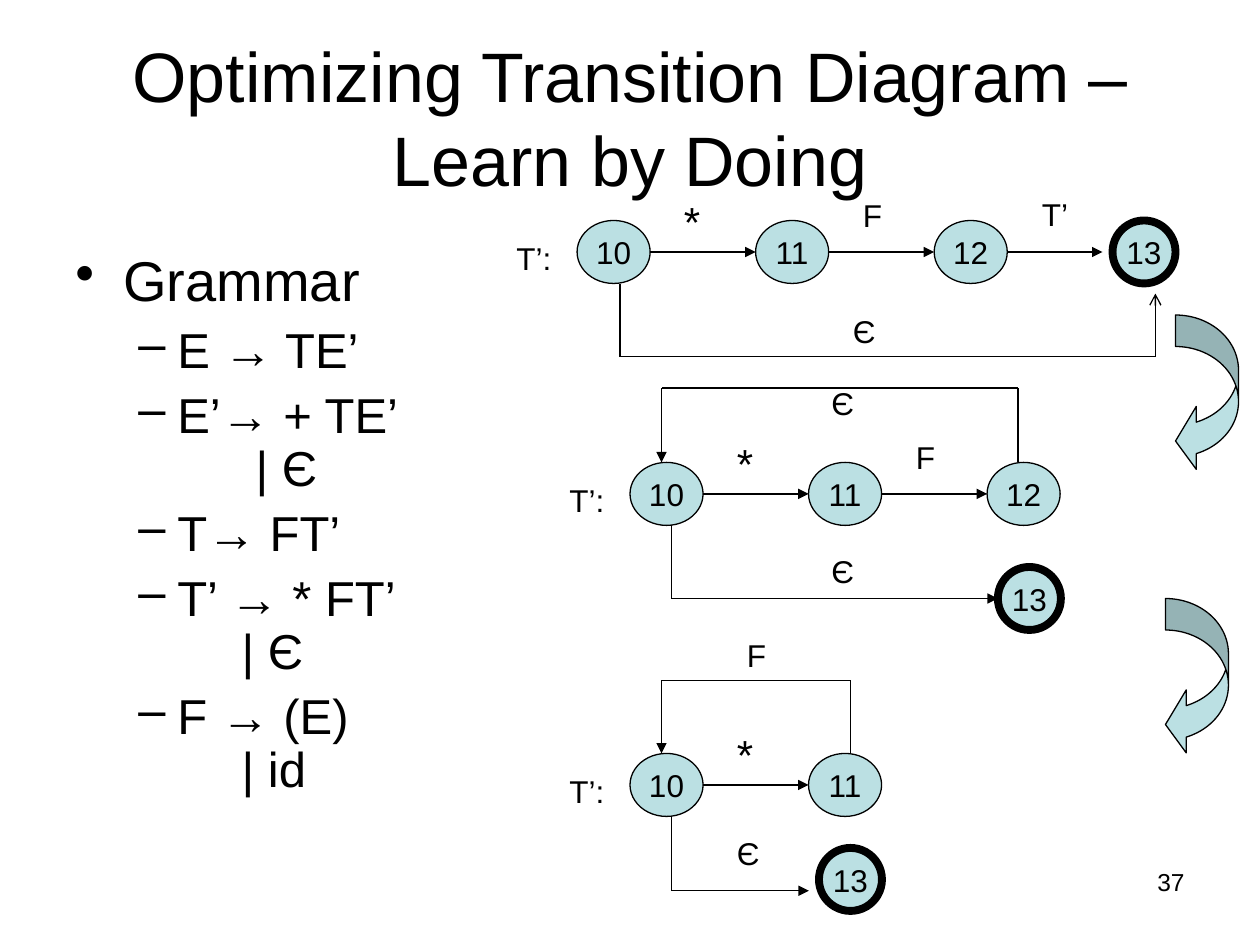
from lxml import etree
from pptx import Presentation
from pptx import util as u
from pptx.dml.color import RGBColor
from pptx.enum import shapes, text
from pptx.oxml import ns

INK = {"line": "000000", "fill": "BBE0E3"}
WIDE, HIGH, STEP = 0.58, 0.5, 1.417


class Pen:
    """Holds the style and the slide being drawn."""

    def __init__(self, deck):
        self.font = "Arial"
        self.slide = deck.slides.add_slide(deck.slide_layouts[5])

    def color(self, name):
        return RGBColor.from_string(INK[name])

    def style(self, para, size, align=text.PP_ALIGN.LEFT):
        para.alignment = align
        for run in para.runs:
            run.font.name, run.font.size = self.font, u.Pt(size)
            run.font.color.rgb = self.color("line")

    def title(self, words, box):
        head = self.slide.shapes.title
        head.left, head.top, head.width, head.height = map(u.Inches, box)
        frame = head.text_frame
        frame.text = words
        frame.word_wrap = True
        frame.vertical_anchor = text.MSO_ANCHOR.MIDDLE
        self.style(frame.paragraphs[0], 40, text.PP_ALIGN.CENTER)

    def label(self, words, x, y, w=0.33, h=0.4, size=18, align=text.PP_ALIGN.LEFT):
        frame = self.slide.shapes.add_textbox(*map(u.Inches, (x, y, w, h))).text_frame
        frame.text = words
        frame.word_wrap = True
        self.style(frame.paragraphs[0], size, align)

    def shape(self, kind, box, line=0.75):
        item = self.slide.shapes.add_shape(kind, *map(u.Inches, box))
        item.shadow.inherit = False
        item.fill.solid()
        item.fill.fore_color.rgb = self.color("fill")
        item.line.color.rgb = self.color("line")
        item.line.width = u.Pt(line)
        return item

    def node(self, words, x, y, w=WIDE, line=0.75):
        item = self.shape(shapes.MSO_SHAPE.OVAL, (x, y - HIGH / 2, w, HIGH), line)
        frame = item.text_frame
        frame.text = words
        frame.word_wrap = False
        frame.vertical_anchor = text.MSO_ANCHOR.MIDDLE
        self.style(frame.paragraphs[0], 18, text.PP_ALIGN.CENTER)

    def final(self, x, y):
        self.node("13", x, y, HIGH, 4.5)

    def route(self, *points, tip="triangle"):
        for spot, (start, end) in enumerate(zip(points, points[1:]), 2):
            wire = self.slide.shapes.add_connector(
                shapes.MSO_CONNECTOR.STRAIGHT, *map(u.Inches, start + end))
            wire.line.color.rgb = self.color("line")
            wire.line.width = u.Pt(0.75)
            if spot == len(points):
                etree.SubElement(wire.line._get_or_add_ln(), ns.qn("a:tailEnd"), type=tip)
            etree.SubElement(wire._element.spPr, ns.qn("a:effectLst"))

    def chain(self, x, y, count):
        self.label("T’:", x - WIDE, y - 0.15, WIDE)
        for i in range(count):
            left = x + i * STEP
            self.node(str(10 + i), left, y)
            if i:
                self.route((left - STEP + WIDE, y), (left, y))
        self.label("*", x + 0.75, y - 0.5, 0.5, 0.5, 24)
        if count > 2:
            self.label("F", x + 2.17, y - 0.49)

    def swoop(self, x, y):
        item = self.shape(shapes.MSO_SHAPE.CURVED_LEFT_ARROW, (x, y, 0.5, 1.25))
        for i, part in enumerate((0.5, 1, 0.33)):
            item.adjustments[i] = part

    def rules(self, box, rows):
        frame = self.slide.shapes.add_textbox(*map(u.Inches, box)).text_frame
        frame.word_wrap = True
        for i, (words, stop) in enumerate(rows):
            para = frame.add_paragraph() if i else frame.paragraphs[0]
            para.text = words
            size, mark, left, hang, gap = (28, "–", 0.81, 0.31, 7) if i else (32, "•", 0.38, 0.38, 8)
            self.style(para, size)
            para.level = min(i, 1)
            para.line_spacing, para.space_before = 0.9, u.Pt(gap)
            props = para._p.get_or_add_pPr()
            props.set("marL", str(u.Inches(left)))
            props.set("indent", str(-u.Inches(hang)))
            etree.SubElement(props, ns.qn("a:buChar"), char=mark)
            if stop:
                tabs = etree.SubElement(props, ns.qn("a:tabLst"))
                etree.SubElement(tabs, ns.qn("a:tab"), pos=str(u.Inches(stop)), algn="l")


def main():
    deck = Presentation()
    deck.slide_width, deck.slide_height = u.Inches(10), u.Inches(7.5)
    pen = Pen(deck)
    pen.title("Optimizing Transition Diagram – Learn by Doing", (0.5, 0.3, 9, 1.25))

    pen.chain(4.58, 2, 3)
    pen.final(8.83, 2)
    pen.route((8, 2), (8.75, 2))
    pen.label("T’", 8.17, 1.5, WIDE)
    pen.route((4.92, 2.25), (4.92, 2.83), (9.17, 2.83), (9.17, 2.33), tip="arrow")
    pen.label("Є", 6.67, 2.43)

    pen.chain(5, 3.92, 3)
    pen.route((5.33, 4.17), (5.33, 4.75), (7.92, 4.75))
    pen.label("Є", 6.5, 4.33)
    pen.route((8.08, 3.67), (8.08, 3.08), (5.25, 3.08), (5.25, 3.67))
    pen.label("Є", 6.5, 3)
    pen.final(7.92, 4.75)

    pen.chain(5, 6.23, 2)
    pen.route((5.33, 6.48), (5.33, 7.07), (6.42, 7.07))
    pen.label("Є", 5.75, 6.57)
    pen.route((6.75, 5.98), (6.75, 5.4), (5.25, 5.4), (5.25, 5.98))
    pen.label("F", 5.83, 5, 0.42)
    pen.final(6.5, 6.98)

    pen.rules((0.5, 1.96, 3.33, 4.95), [
        ("Grammar", None),
        ("E → TE’", None),
        ("E’→ + TE’\v\t| Є", 1.43),
        ("T→ FT’", None),
        ("T’ → * FT’\v\t| Є", 1.32),
        ("F → (E)\v\t| id", 1.32),
    ])
    pen.swoop(9.33, 2.5)
    pen.swoop(9.25, 4.75)
    pen.label("37", 7.17, 6.83, 2.33, 0.52, 14, text.PP_ALIGN.RIGHT)
    deck.save("out.pptx")


if __name__ == "__main__":
    main()
